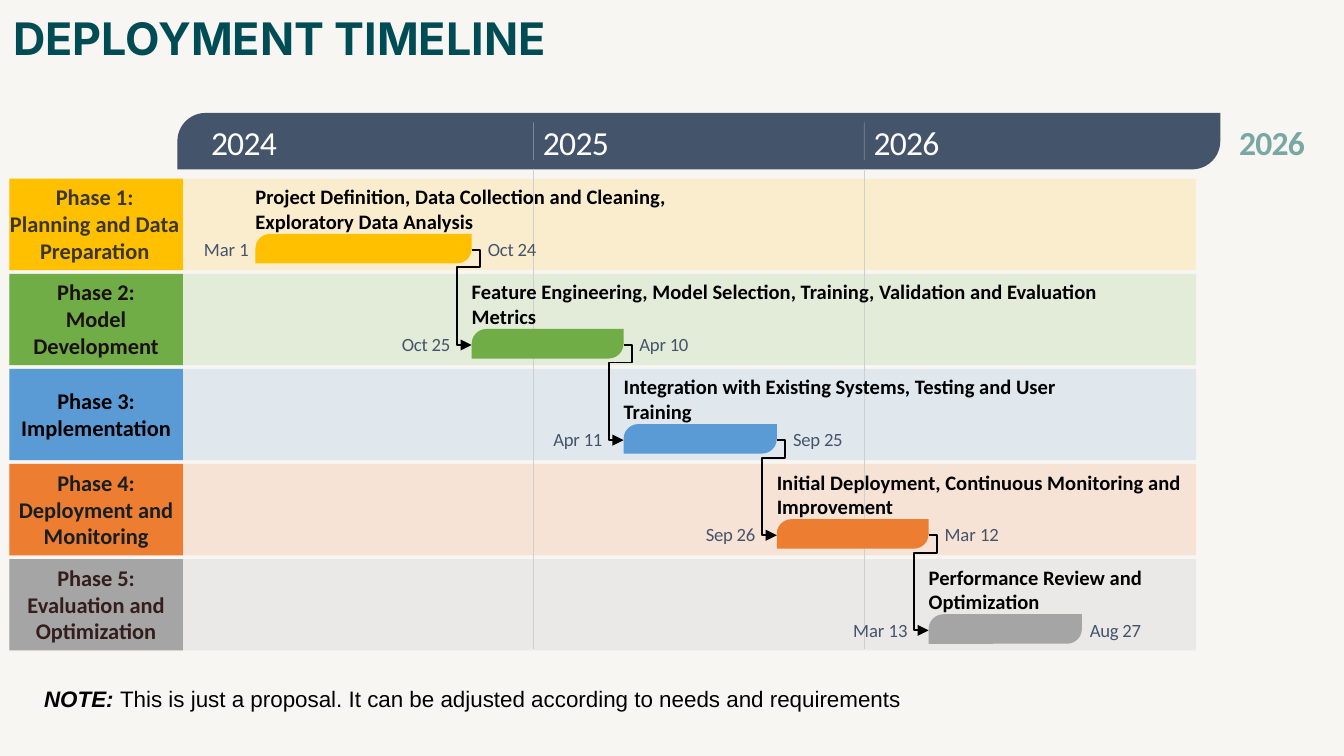
from lxml.etree import SubElement as Sub
from pptx import Presentation
from pptx.dml.color import RGBColor
from pptx.enum.shapes import MSO_CONNECTOR as Link, MSO_SHAPE as Kind
from pptx.enum.text import MSO_ANCHOR as Anchor, PP_ALIGN as Align
from pptx.oxml.ns import qn
from pptx.util import Inches as In, Pt

# Slide of 16 by 9
WIDTH = In(10)
HEIGHT = WIDTH * 9 // 16

# Grid in inches: one row per phase, one column per year
LEFT, TOP, TALL = 0.07, 1.33, 0.68
STEP = (4.16 - TOP) / 4
WIDE, TAB = 8.83, 1.29
YEAR_X, YEAR_W = 1.51, 2.46
EDGES = [1.9, 3.51, 4.64, 5.78, 6.91, 8.05]
BAR_H = 0.22
SLATE, BLACK, WHITE = "44546A", "000000", "FFFFFF"

# Label, its width and colour, fill, task, task width, (start, width), (end, width)
PHASES = [
    ("Phase 1:\nPlanning and Data Preparation", 1.27, "3C3631", "FFC000",
     "Project Definition, Data Collection and Cleaning, Exploratory Data Analysis",
     3.08, ("Mar 1", 0.35), ("Oct 24", 0.38)),
    ("Phase 2:\nModel Development", TAB, "1B1013", "70AD47",
     "Feature Engineering, Model Selection, Training, Validation and Evaluation Metrics",
     4.68, ("Oct 25", 0.38), ("Apr 10", 0.38)),
    ("Phase 3: Implementation", TAB, "000000", "5B9BD5",
     "Integration with Existing Systems, Testing and User Training",
     3.24, ("Apr 11", 0.38), ("Sep 25", 0.39)),
    ("Phase 4: Deployment and Monitoring", TAB, "171E24", "ED7D31",
     "Initial Deployment, Continuous Monitoring and Improvement",
     3.04, ("Sep 26", 0.39), ("Mar 12", 0.42)),
    ("Phase 5: Evaluation and Optimization", TAB, "331E1C", "A5A5A5",
     "Performance Review and Optimization",
     1.62, ("Mar 13", 0.42), ("Aug 27", 0.4)),
]

# Text formats
CALIBRI = {"name": "Calibri"}
HEAD = {"name": "Inter", "size": Pt(24), "bold": True}
YEAR = CALIBRI | {"size": Pt(18)}
LABEL = CALIBRI | {"size": Pt(12), "bold": True}
TASK = CALIBRI | {"size": Pt(11), "bold": True}
DATE = CALIBRI | {"size": Pt(10)}
NOTE = {"name": "Arial", "size": Pt(12)}


def rgb(code):
    return RGBColor.from_string(code)


def fade(shape, share):
    """Set the opacity of a shape's colour, in percent."""
    for tint in shape._element.iter(qn("a:srgbClr")):
        Sub(tint, qn("a:alpha"), val=str(share * 1000))


def block(slide, box, color, kind=Kind.RECTANGLE):
    shape = slide.shapes.add_shape(kind, *map(In, box))
    shape.shadow.inherit = False
    shape.fill.solid()
    shape.fill.fore_color.rgb = rgb(color)
    shape.line.fill.background()
    if kind == Kind.ROUND_2_DIAG_RECTANGLE:
        shape.adjustments[0] = 1
    return shape


def write(slide, box, text, form, color, align=Align.LEFT, anchor=Anchor.MIDDLE,
          pad=(0, 0), wrap=True, gap=0):
    """Text is a string, or a list of (string, extra format) runs."""
    frame = slide.shapes.add_textbox(*map(In, box)).text_frame
    sides = {"margin_left": pad[0], "margin_right": pad[0],
             "margin_top": pad[1], "margin_bottom": pad[1]}
    for key, val in sides.items():
        setattr(frame, key, In(val))
    frame.word_wrap, frame.vertical_anchor = wrap, anchor
    parts = [[(line, {})] for line in text.split("\n")] if isinstance(text, str) else [text]
    for num, runs in enumerate(parts):
        para = frame.add_paragraph() if num else frame.paragraphs[0]
        para.alignment = align
        for words, extra in runs:
            run = para.add_run()
            run.text = words
            for key, val in (form | extra).items():
                setattr(run.font, key, val)
            run.font.color.rgb = rgb(color)
            if gap:
                run._r.get_or_add_rPr().set("spc", str(gap))


def rule(slide, x, top, end, color):
    line = slide.shapes.add_connector(Link.STRAIGHT, In(x), In(top), In(x), In(end))
    line.line.color.rgb = rgb(color)
    line.line.width = Pt(0.43)
    Sub(line._element.spPr, qn("a:effectLst"))
    return line


def elbow(slide, x, y):
    """Arrow from the end of one bar to the start of the bar below."""
    turns = [(0.06, 0), (0.06, 0.13), (-0.11, 0.13), (-0.11, STEP), (0, STEP)]
    pen = slide.shapes.build_freeform(In(x), In(y))
    pen.add_line_segments([(In(x + dx), In(y + dy)) for dx, dy in turns], close=False)
    shape = pen.convert_to_shape()
    shape.shadow.inherit = False
    shape.fill.background()
    shape.line.color.rgb = rgb(BLACK)
    shape.line.width = Pt(1)
    Sub(shape.line._get_or_add_ln(), qn("a:tailEnd"), type="triangle")


def header(slide):
    block(slide, (1.32, 0.84, 7.76, 0.42), SLATE, Kind.ROUND_2_DIAG_RECTANGLE)
    for col in range(3):
        x = YEAR_X + col * YEAR_W
        inset = 0.07 if col else 0.06
        write(slide, (x + inset, 0.9, 0.49, 0.31), str(2024 + col), YEAR, WHITE,
              wrap=False, gap=-40)
        if col:
            rule(slide, x, 1.26, 4.83, "D0CECE")
            fade(rule(slide, x, 0.91, 1.19, WHITE), 30)
    write(slide, (9.22, 0.9, 0.49, 0.31), "2026", YEAR | {"bold": True}, "79A8A4",
          Align.CENTER, wrap=False, gap=-40)


def phase(slide, row):
    label, span, ink, color, task, wide, (start, sw), (end, ew) = PHASES[row]
    top, x, stop = TOP + row * STEP, EDGES[row], EDGES[row + 1]
    last = row == len(PHASES) - 1
    # Name tab
    block(slide, (LEFT, top, TAB, TALL), color)
    write(slide, (LEFT, top + 0.03, span, 0.61), label, LABEL, ink, Align.CENTER)
    # Bar with its task and dates
    block(slide, (x, top + 0.41, stop - x, BAR_H), color, Kind.ROUND_2_DIAG_RECTANGLE)
    write(slide, (x, top + 0.04, wide, 0.37), task, TASK, BLACK)
    before, after = (0.15 if row else 0.04), (0.05 if last else 0.11)
    for left, width, day in ((x - before - sw, sw, start), (stop + after, ew, end)):
        write(slide, (left, top + 0.44, width, 0.17), day, DATE, SLATE, Align.CENTER,
              gap=0 if "Mar" in day else -10)
    if not last:
        elbow(slide, stop, top + 0.53)


def main():
    deck = Presentation()
    deck.slide_width, deck.slide_height = WIDTH, HEIGHT
    slide = deck.slides.add_slide(deck.slide_layouts[6])
    slide.background.fill.solid()
    slide.background.fill.fore_color.rgb = rgb("F8F6F3")
    # Pale lanes lie behind all else
    for row, item in enumerate(PHASES):
        fade(block(slide, (LEFT, TOP + row * STEP, WIDE, TALL), item[3]), 15)
    header(slide)
    for row in range(len(PHASES)):
        phase(slide, row)
    # Title and note
    write(slide, (0, -0.02, 9.32, 0.63), "DEPLOYMENT TIMELINE", HEAD, "004C54",
          anchor=Anchor.TOP, pad=(0.1, 0.1))
    write(slide, (0.23, 5.05, 9.32, 0.3),
          [("NOTE: ", {"bold": True, "italic": True}),
           ("This is just a proposal. It can be adjusted according to needs and requirements", {})],
          NOTE, BLACK, anchor=Anchor.TOP, pad=(0.1, 0.05))
    deck.save("out.pptx")


if __name__ == "__main__":
    main()
